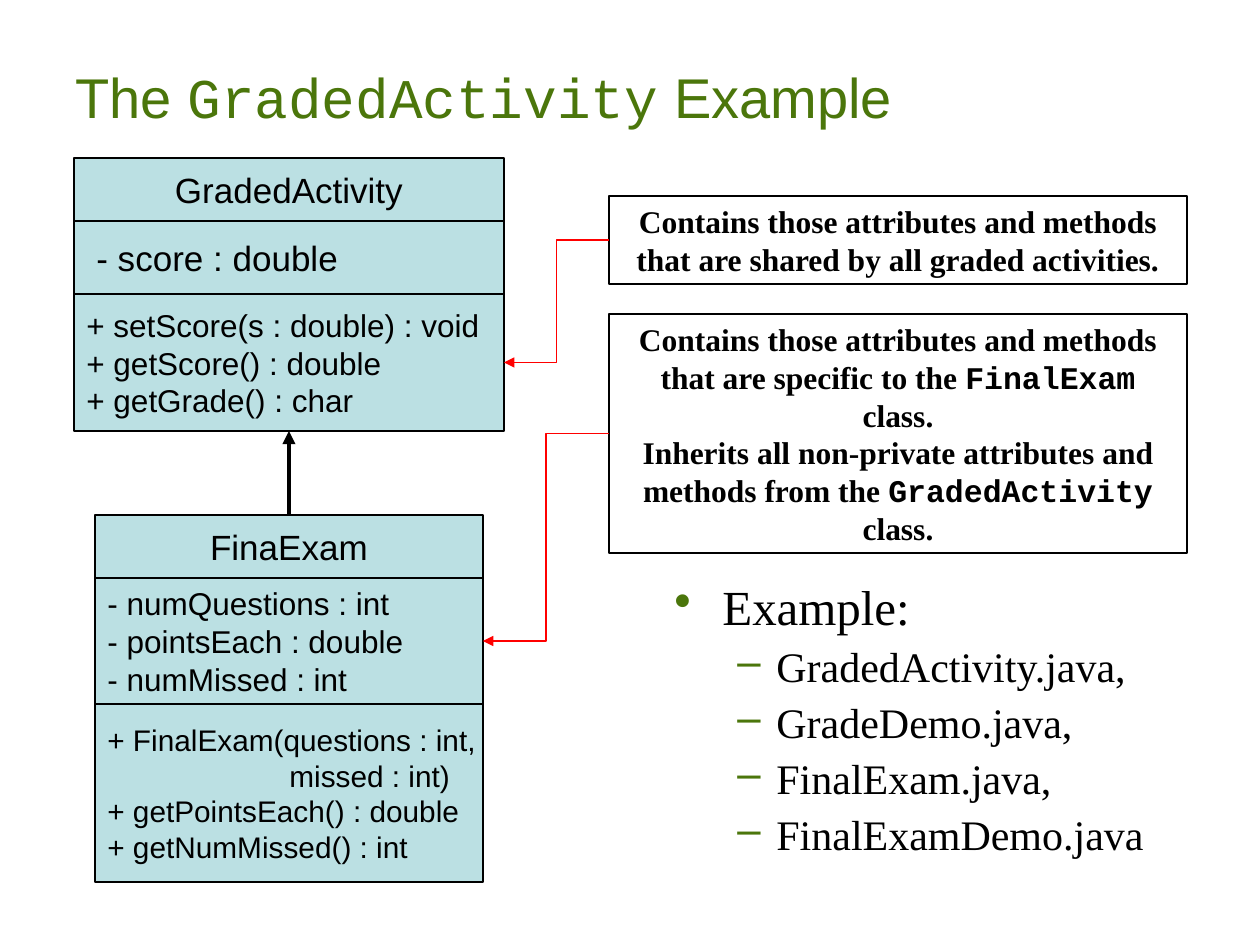
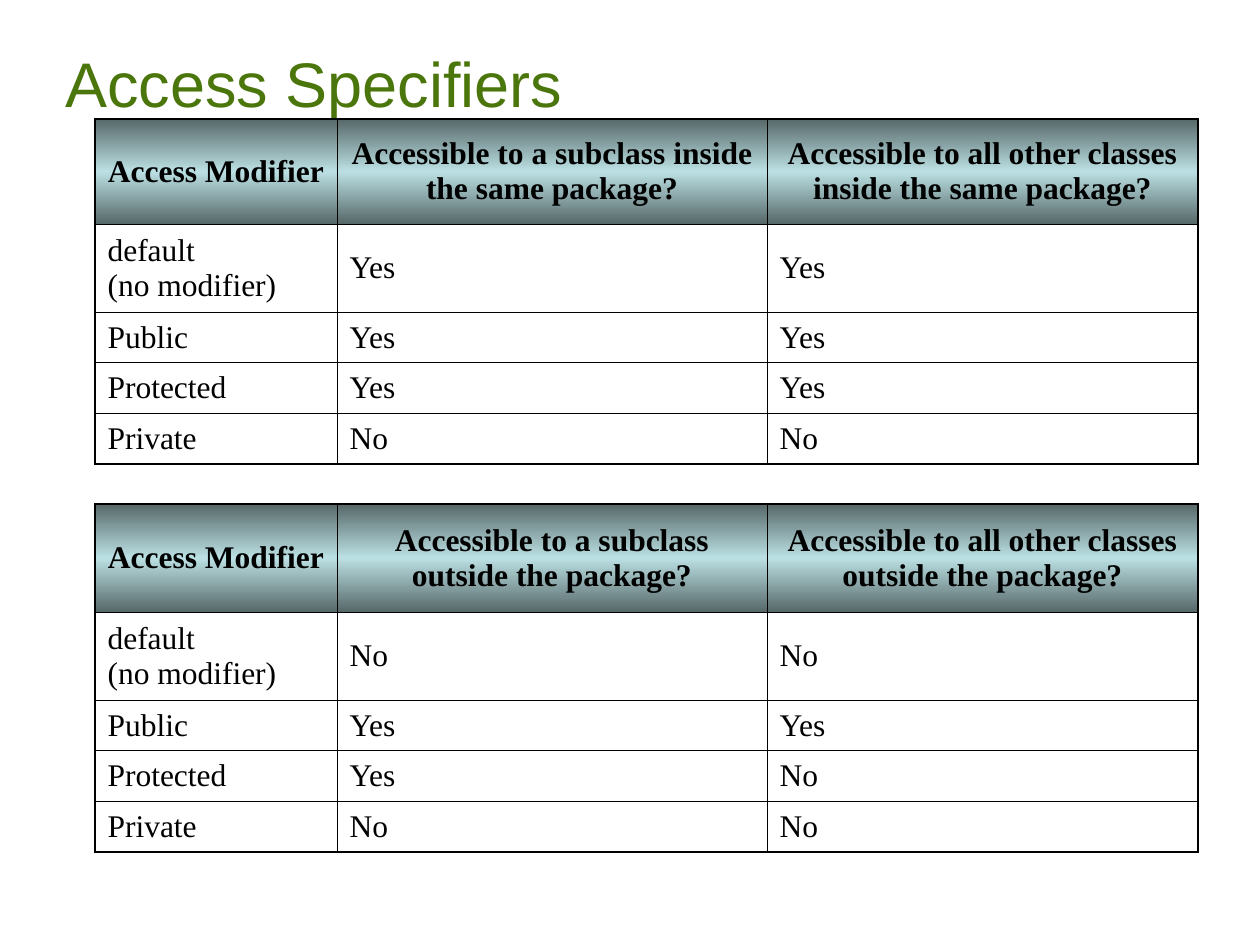
from dataclasses import dataclass

from lxml.etree import SubElement
from pptx import Presentation
from pptx.dml.color import RGBColor
from pptx.enum.shapes import MSO_CONNECTOR, MSO_SHAPE
from pptx.enum.text import MSO_ANCHOR, PP_ALIGN
from pptx.oxml import parse_xml
from pptx.oxml.ns import nsdecls, qn
from pptx.util import Pt


@dataclass(frozen=True)
class Theme:
    green: str = "4B760B"
    ink: str = "000000"
    panel: str = "BBE0E3"
    panel_edge: str = "576869"
    pointer: str = "FF0000"
    sans: str = "Arial"
    serif: str = "Times New Roman"
    mono: str = "Courier New"
    class_name_size: int = 20
    text_size: int = 18
    bullet_size: int = 28
    sub_bullet_size: int = 24
    box_line: float = 0.75
    thin_border: float = 0.45
    thick_border: float = 1.08


THEME = Theme()
LEFT_SITE, RIGHT_SITE, TOP_SITE, BOTTOM_SITE = 1, 3, 0, 2


def px(length):
    """Turn a length at 126 px to the inch into EMU."""
    return round(length * 914400 / 126)


def box_emu(box):
    return [px(length) for length in box]


def format_runs(paragraph, font, size, color=THEME.ink, bold=False):
    for run in paragraph.runs:
        run.font.name = font
        run.font.size = Pt(size)
        run.font.bold = bold
        run.font.color.rgb = RGBColor.from_string(color)


def write_with_code(paragraph, text, font, size, **style):
    """Write text in which the parts between backticks are code."""
    for index, part in enumerate(text.split("`")):
        run = paragraph.add_run()
        run.text = part
    format_runs(paragraph, font, size, **style)
    for run in paragraph.runs[1::2]:
        run.font.name = THEME.mono


def set_indent(paragraph, left, hanging=0):
    properties = paragraph._p.get_or_add_pPr()
    properties.set("marL", str(px(left)))
    properties.set("indent", str(-px(hanging)))
    return properties


def add_title(slide, box, text, size):
    text_frame = slide.shapes.add_textbox(*box_emu(box)).text_frame
    text_frame.word_wrap = True
    text_frame.vertical_anchor = MSO_ANCHOR.BOTTOM
    write_with_code(text_frame.paragraphs[0], text, THEME.sans, size, color=THEME.green)


def add_box(shapes, box, fill=None):
    shape = shapes.add_shape(MSO_SHAPE.RECTANGLE, *box_emu(box))
    shape.shadow.inherit = False
    if fill:
        shape.fill.solid()
        shape.fill.fore_color.rgb = RGBColor.from_string(fill)
    else:
        shape.fill.background()
    shape.line.color.rgb = RGBColor.from_string(THEME.ink)
    shape.line.width = Pt(THEME.box_line)
    shape.text_frame.vertical_anchor = MSO_ANCHOR.MIDDLE
    return shape


def add_class_diagram(slide, box, compartments):
    """Stack compartments of (height, size, lines, indents by line) and return them."""
    left, top, width = box
    group = slide.shapes.add_group_shape()
    stacked = []
    for height, size, lines, indents in compartments:
        shape = add_box(group.shapes, (left, top, width, height), THEME.panel)
        text_frame = shape.text_frame
        text_frame.word_wrap = False
        text_frame.text = "\n".join(lines)
        for index, paragraph in enumerate(text_frame.paragraphs):
            paragraph.alignment = PP_ALIGN.LEFT if stacked else PP_ALIGN.CENTER
            format_runs(paragraph, THEME.sans, size)
            if index in indents:
                set_indent(paragraph, indents[index])
        stacked.append(shape)
        top += height
    return stacked


def add_note(slide, box, sentences):
    shape = add_box(slide.shapes, box)
    text_frame = shape.text_frame
    text_frame.word_wrap = True
    for index, sentence in enumerate(sentences):
        paragraph = text_frame.add_paragraph() if index else text_frame.paragraphs[0]
        paragraph.alignment = PP_ALIGN.CENTER
        write_with_code(paragraph, sentence, THEME.serif, THEME.text_size, bold=True)
    return shape


def add_arrow(slide, kind, start, end, color, width):
    """Join two (shape, connection site) pairs with an arrow."""
    connector = slide.shapes.add_connector(kind, 0, 0, 0, 0)
    connector.begin_connect(*start)
    connector.end_connect(*end)
    connector.line.color.rgb = RGBColor.from_string(color)
    connector.line.width = Pt(width)
    SubElement(connector.line._get_or_add_ln(), qn("a:tailEnd"), type="triangle")
    SubElement(connector._element.spPr, qn("a:effectLst"))


def add_bullets(slide, box, heading, items):
    text_frame = slide.shapes.add_textbox(*box_emu(box)).text_frame
    text_frame.word_wrap = True
    text_frame.margin_right = 0
    text_frame.text = "\n".join([heading, *items])
    for index, paragraph in enumerate(text_frame.paragraphs):
        if index:
            left, hanging, mark, size = 102, 39, "–", THEME.sub_bullet_size
            paragraph.level = 1
            paragraph.space_before = Pt(6)
        else:
            left, hanging, mark, size = 48, 48, "•", THEME.bullet_size
        paragraph.line_spacing = 0.9
        properties = set_indent(paragraph, left, hanging)
        bullet_color = SubElement(properties, qn("a:buClr"))
        SubElement(bullet_color, qn("a:srgbClr"), val=THEME.green)
        SubElement(properties, qn("a:buChar"), char=mark)
        format_runs(paragraph, THEME.serif, size)


def fill_header(cell):
    stops = ((0, THEME.panel_edge), (50, THEME.panel), (100, THEME.panel_edge))
    stop_xml = "".join(
        f'<a:gs pos="{position * 1000}"><a:srgbClr val="{color}"/></a:gs>'
        for position, color in stops
    )
    cell._tc.get_or_add_tcPr().append(parse_xml(
        f'<a:gradFill {nsdecls("a")}><a:gsLst>{stop_xml}</a:gsLst>'
        '<a:lin ang="5400000" scaled="0"/></a:gradFill>'
    ))


def set_borders(cell, outer_sides):
    """Draw all four borders, thick on the outer sides."""
    properties = cell._tc.get_or_add_tcPr()
    for index, side in enumerate("LRTB"):
        width = THEME.thick_border if side in outer_sides else THEME.thin_border
        properties.insert(index, parse_xml(
            f'<a:ln{side} {nsdecls("a")} w="{Pt(width)}"><a:solidFill>'
            f'<a:srgbClr val="{THEME.ink}"/></a:solidFill></a:ln{side}>'
        ))


def add_access_table(slide, left, top, header_height, rows):
    column_widths = (242, 430, 431)
    row_heights = (header_height, 88, 50, 51, 50)
    box = (left, top, sum(column_widths), sum(row_heights))
    table = slide.shapes.add_table(len(rows), len(column_widths), *box_emu(box)).table
    table.first_row = table.horz_banding = False
    for column, width in zip(table.columns, column_widths):
        column.width = px(width)
    for row, height in zip(table.rows, row_heights):
        row.height = px(height)
    last_row, last_column = len(rows) - 1, len(column_widths) - 1
    for row_index, row in enumerate(rows):
        for column_index, text in enumerate(row):
            is_header = row_index == 0
            cell = table.cell(row_index, column_index)
            cell.vertical_anchor = MSO_ANCHOR.MIDDLE
            cell.text = text
            paragraph = cell.text_frame.paragraphs[0]
            paragraph.alignment = PP_ALIGN.CENTER if is_header else PP_ALIGN.LEFT
            format_runs(paragraph, THEME.serif, THEME.text_size, bold=is_header)
            if is_header:
                fill_header(cell)
            else:
                cell.fill.background()
            edges = {"L": column_index == 0, "R": column_index == last_column,
                     "T": is_header, "B": row_index == last_row}
            set_borders(cell, [side for side, is_outer in edges.items() if is_outer])


def build_class_slide(slide):
    add_title(slide, (63, 32, 1071, 104), "The `GradedActivity` Example", 32)
    add_bullets(slide, (662, 577, 535, 294), "Example:", [
        "GradedActivity.java,", "GradeDemo.java,", "FinalExam.java,", "FinalExamDemo.java",
    ])
    _, _, activity_methods = add_class_diagram(slide, (74, 158, 430), [
        (63, THEME.class_name_size, ["GradedActivity"], {}),
        (73, THEME.class_name_size, ["- score : double"], {0: 10}),
        (137, THEME.text_size, ["+ setScore(s : double) : void", "+ getScore() : double",
                                "+ getGrade() : char"], {}),
    ])
    exam_name, exam_attributes, _ = add_class_diagram(slide, (95, 515, 388), [
        (63, THEME.class_name_size, ["FinaExam"], {}),
        (126, THEME.text_size, ["- numQuestions : int", "- pointsEach : double",
                                "- numMissed : int"], {}),
        (178, 17, ["+ FinalExam(questions : int,", "missed : int)",
                   "+ getPointsEach() : double", "+ getNumMissed() : int"], {1: 182}),
    ])
    add_arrow(slide, MSO_CONNECTOR.STRAIGHT, (exam_name, TOP_SITE),
              (activity_methods, BOTTOM_SITE), THEME.ink, 2.5)
    shared_note = add_note(slide, (609, 196, 578, 88), [
        "Contains those attributes and methods that are shared by all graded activities.",
    ])
    exam_note = add_note(slide, (609, 314, 578, 239), [
        "Contains those attributes and methods that are specific to the `FinalExam` class.",
        "Inherits all non-private attributes and methods from the `GradedActivity` class.",
    ])
    for note, target in ((shared_note, activity_methods), (exam_note, exam_attributes)):
        add_arrow(slide, MSO_CONNECTOR.ELBOW, (note, LEFT_SITE), (target, RIGHT_SITE),
                  THEME.pointer, 1)


def build_access_slide(slide):
    add_title(slide, (53, 32, 1071, 94), "Access Specifiers", 36)
    add_access_table(slide, 95, 119, 105, [
        ("Access Modifier", "Accessible to a subclass inside the same package?",
         "Accessible to all other classes inside the same package?"),
        ("default\v(no modifier)", "Yes", "Yes"),
        ("Public", "Yes", "Yes"),
        ("Protected", "Yes", "Yes"),
        ("Private", "No", "No"),
    ])
    add_access_table(slide, 95, 504, 108, [
        ("Access Modifier", "Accessible to a subclass outside the package?",
         "Accessible to all other classes outside the package?"),
        ("default\v(no modifier)", "No", "No"),
        ("Public", "Yes", "Yes"),
        ("Protected", "Yes", "No"),
        ("Private", "No", "No"),
    ])


def main():
    presentation = Presentation()
    presentation.slide_width, presentation.slide_height = px(1260), px(945)
    blank_layout = presentation.slide_layouts[6]
    for build_slide in (build_class_slide, build_access_slide):
        build_slide(presentation.slides.add_slide(blank_layout))
    presentation.save("out.pptx")


if __name__ == "__main__":
    main()
